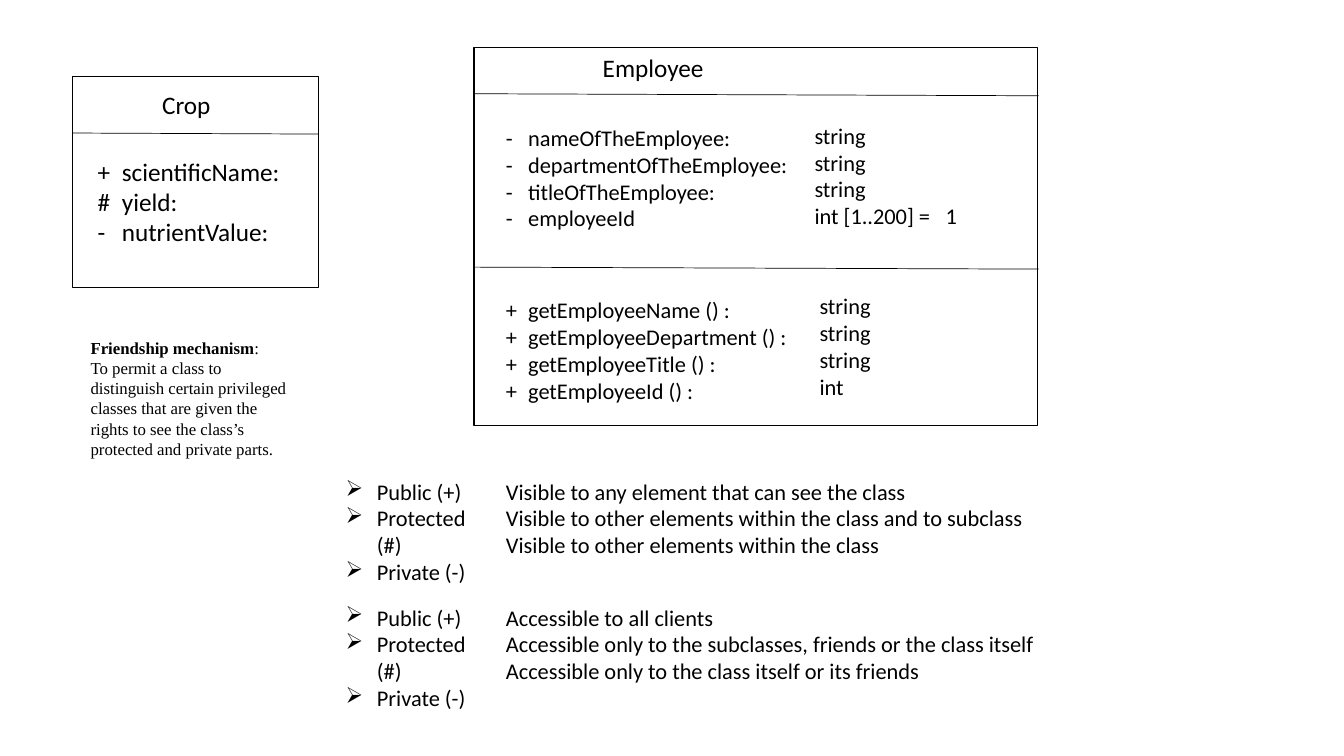
from lxml import etree
from pptx import Presentation
from pptx import util as u
from pptx.dml import color
from pptx.enum import shapes, text
from pptx.oxml import ns


def rgb(value):
    return color.RGBColor.from_string(value)


class ClassSlide:
    """Style and drawing methods for a slide of class diagrams."""
    ink, paper = "000000", "FFFFFF"
    body_font, note_font = "Calibri", "Times New Roman"

    def __init__(self, presentation):
        self.slide = presentation.slides.add_slide(presentation.slide_layouts[6])

    def box(self, left, top, width, height):
        shape = self.slide.shapes.add_shape(
            shapes.MSO_SHAPE.RECTANGLE, *map(u.Inches, (left, top, width, height)))
        shape.shadow.inherit = False
        shape.fill.solid()
        shape.fill.fore_color.rgb = rgb(self.paper)
        shape.line.color.rgb = rgb(self.ink)
        shape.line.width = u.Pt(1)

    def divider(self, left, top, right, bottom):
        line = self.slide.shapes.add_connector(
            shapes.MSO_CONNECTOR.STRAIGHT, *map(u.Inches, (left, top, right, bottom)))
        line.line.color.rgb = rgb(self.ink)
        line.line.width = u.Pt(0.5)
        etree.SubElement(line._element.spPr, ns.qn("a:effectLst"))

    def text(self, left, top, width, height, lines, size=16, font=None,
             bullet=None, tab=None):
        frame = self.slide.shapes.add_textbox(
            *map(u.Inches, (left, top, width, height))).text_frame
        frame.word_wrap = True
        frame.auto_size = text.MSO_AUTO_SIZE.SHAPE_TO_FIT_TEXT
        frame.text = "\n".join(lines)
        for paragraph in frame.paragraphs:
            properties = paragraph._p.get_or_add_pPr()
            if bullet:
                self.add_bullet(properties, bullet)
            if tab:
                self.add_tab(properties, tab)
            for run in paragraph.runs:
                self.style(run, size, font)
        return frame

    def style(self, run, size, font=None):
        run.font.size = u.Pt(size)
        run.font.name = font or self.body_font
        run.font.color.rgb = rgb(self.ink)

    def add_bullet(self, properties, character, indent=0.31):
        properties.set("marL", str(u.Inches(indent)))
        properties.set("indent", str(-u.Inches(indent)))
        etree.SubElement(properties, ns.qn("a:buChar"), char=character)

    def add_tab(self, properties, position):
        stops = etree.SubElement(properties, ns.qn("a:tabLst"))
        etree.SubElement(stops, ns.qn("a:tab"), pos=str(u.Inches(position)), algn="l")

    def members(self, left, top, width, height, rows, size=16, tab=0.22):
        """Visibility marks, each followed by a member name."""
        lines = [f"{mark}\t{name}" for mark, name in rows]
        self.text(left, top, width, height, lines, size, tab=tab)

    def access_list(self, top, descriptions):
        """Bulleted access levels beside their meanings."""
        levels = ["Public (+)", "Protected (#)", "Private (-)"]
        self.text(3.33, top, 1.65, 0.91, levels, bullet="➢")
        self.text(4.92, top, 5.93, 0.91, descriptions)

    def note(self, left, top, width, height, title, body):
        frame = self.text(left, top, width, height, [title, body], 12, self.note_font)
        heading = frame.paragraphs[0]
        heading.alignment = text.PP_ALIGN.JUSTIFY
        heading.runs[0].font.bold = True
        colon = heading.add_run()
        colon.text = ":"
        self.style(colon, 12, self.note_font)


def main():
    presentation = Presentation()
    presentation.slide_width = u.Inches(13.33)
    presentation.slide_height = u.Inches(7.5)
    page = ClassSlide(presentation)

    # Employee class
    page.box(4.7, 0.47, 5.59, 3.75)
    for top in (0.93, 2.65):
        page.divider(4.7, top, 10.3, top + 0.02)
    page.text(5.88, 0.47, 1.8, 0.4, ["Employee"], 18)
    attributes = ["nameOfTheEmployee:", "departmentOfTheEmployee:",
                  "titleOfTheEmployee:", "employeeId"]
    page.members(4.92, 1.18, 3.18, 1.18, [("-", name) for name in attributes])
    page.text(7.98, 1.16, 1.68, 1.18, ["string"] * 3 + ["int [1..200] =\t1"], tab=1.3)
    properties = ["Name", "Department", "Title", "Id"]
    page.members(4.92, 2.89, 3.15, 1.18,
                 [("+", f"getEmployee{name} () :") for name in properties])
    page.text(8.03, 2.85, 1.4, 1.18, ["string"] * 3 + ["int"])

    # Crop class
    page.box(0.72, 0.76, 2.44, 2.09)
    page.divider(0.72, 1.32, 3.16, 1.33)
    page.text(1.51, 0.84, 1.58, 0.4, ["Crop"], 18)
    page.members(0.87, 1.5, 2.05, 1.01,
                 [("+", "scientificName:"), ("#", "yield:"), ("-", "nutrientValue:")],
                 size=18, tab=0.24)

    # Visibility and accessibility
    page.access_list(4.69, [
        "Visible to any element that can see the class",
        "Visible to other elements within the class and to subclass",
        "Visible to other elements within the class"])
    page.access_list(5.94, [
        "Accessible to all clients",
        "Accessible only to the subclasses, friends or the class itself",
        "Accessible only to the class itself or its friends"])

    # Friendship note
    page.note(0.8, 3.3, 2.19, 1.31, "Friendship mechanism",
              "To permit a class to distinguish certain privileged classes that are "
              "given the rights to see the class’s protected and private parts.")

    presentation.save("out.pptx")


if __name__ == "__main__":
    main()
